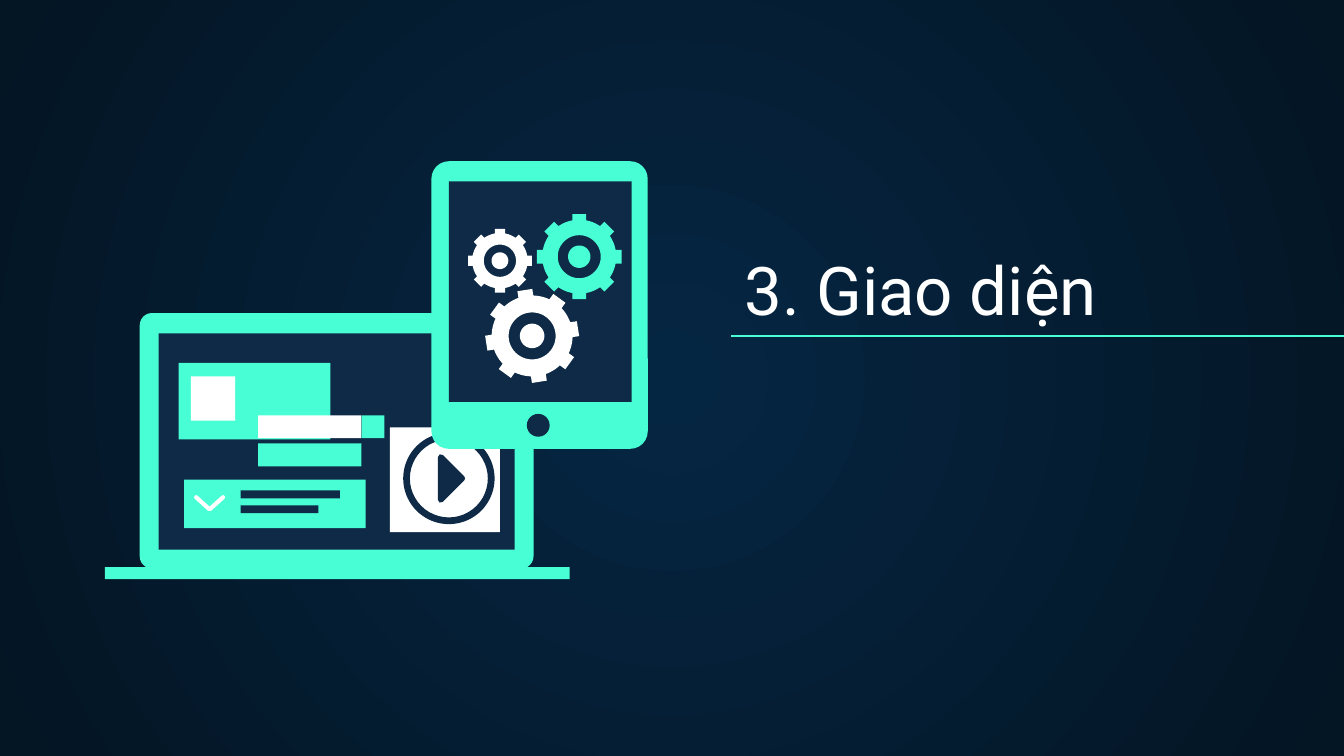
"""Section slide: a laptop and a tablet with gears beside the section title."""
from math import asin, cos, pi, radians, sin

from lxml.etree import SubElement
from pptx import Presentation
from pptx.dml.color import RGBColor
from pptx.enum.shapes import MSO_CONNECTOR, MSO_SHAPE
from pptx.enum.text import MSO_ANCHOR
from pptx.oxml.ns import qn
from pptx.util import Inches, Pt

MINT = RGBColor(0x48, 0xFF, 0xD5)
NAVY = RGBColor(0x0E, 0x2A, 0x47)
WHITE = RGBColor(0xFF, 0xFF, 0xFF)
GLOW = RGBColor(0x05, 0x26, 0x43)
EDGE = RGBColor(0x04, 0x15, 0x23)

RECT, ROUND = MSO_SHAPE.RECTANGLE, MSO_SHAPE.ROUNDED_RECTANGLE
OVAL, DONUT = MSO_SHAPE.OVAL, MSO_SHAPE.DONUT

TITLE = "3. Giao diện"
TITLE_BOX = (5.44, 1.89, 3.86, 0.66)
RULE = (5.44, 2.5, 10.3, 2.5)

LAPTOP = [
    (ROUND, MINT, (1.04, 2.33, 2.93, 1.9), 0.09),
    (RECT, NAVY, (1.18, 2.48, 2.65, 1.61), None),
    (RECT, MINT, (0.78, 4.22, 3.46, 0.09), None),
    (RECT, MINT, (1.33, 2.7, 1.13, 0.57), None),
    (RECT, WHITE, (1.42, 2.8, 0.33, 0.33), None),
    (RECT, MINT, (1.37, 3.57, 1.35, 0.36), None),
    (RECT, NAVY, (1.79, 3.65, 0.74, 0.06), None),
    (RECT, NAVY, (1.79, 3.76, 0.58, 0.06), None),
    (RECT, MINT, (1.92, 3.3, 0.77, 0.17), None),
    (RECT, WHITE, (1.92, 3.09, 0.77, 0.17), None),
    (RECT, MINT, (2.69, 3.09, 0.17, 0.17), None),
    (RECT, WHITE, (2.9, 3.18, 0.82, 0.78), None),
    (DONUT, NAVY, (3, 3.22, 0.68, 0.68), 0.05),
]
CHEVRON = [(1.46, 3.7), (1.56, 3.79), (1.66, 3.7)]
PLAY = [(3.28, 3.4), (3.44, 3.56), (3.28, 3.72)]
TABLET = [
    (ROUND, MINT, (3.21, 1.2, 1.61, 2.14), 0.13),
    (RECT, NAVY, (3.34, 1.35, 1.36, 1.64), None),
    (OVAL, NAVY, (3.92, 3.08, 0.17, 0.17), None),
]
GEARS = [
    (MINT, (4.31, 1.91), 0.32, 0),
    (WHITE, (3.72, 1.94), 0.24, 0),
    (WHITE, (3.96, 2.5), 0.35, -9),
]
TEETH = 8
BODY, HALF_TOOTH, HOLE, HUB = 0.86, 0.16, 0.5, 0.26


def add_parts(slide, parts):
    for preset, colour, box, thickness in parts:
        part = slide.shapes.add_shape(preset, *map(Inches, box))
        if thickness:
            part.adjustments[0] = thickness / min(box[2:])
        part.shadow.inherit = False
        part.fill.solid()
        part.fill.fore_color.rgb = colour
        part.line.fill.background()


def add_outline(slide, contours, closed=True):
    points = [[(Inches(x), Inches(y)) for x, y in contour] for contour in contours]
    builder = slide.shapes.build_freeform(*points[0][0])
    for index, contour in enumerate(points):
        if index:
            builder.move_to(*contour[0])
        builder.add_line_segments(contour[1:], close=closed)
    outline = builder.convert_to_shape()
    outline.shadow.inherit = False
    return outline


def add_rounded_line(shape, colour, width):
    shape.line.color.rgb = colour
    shape.line.width = Pt(width)
    line = shape.line._get_or_add_ln()
    line.set("cap", "rnd")
    SubElement(line, qn("a:round"))


def arc(radius, start, end, steps):
    angles = [start + (end - start) * step / steps for step in range(steps + 1)]
    return [(radius * cos(angle), radius * sin(angle)) for angle in angles]


def gear_contours(centre, radius, turn):
    pitch = 2 * pi / TEETH
    tip, root = asin(HALF_TOOTH), asin(HALF_TOOTH / BODY)
    rim = []
    for tooth in range(TEETH):
        angle = tooth * pitch + radians(turn)
        rim += arc(1, angle - tip, angle + tip, 1)
        rim += arc(BODY, angle + root, angle + pitch - root, 6)
    contours = [rim, arc(HOLE, 0, 2 * pi, 48), arc(HUB, 0, 2 * pi, 48)]
    return [[(centre[0] + radius * x, centre[1] + radius * y) for x, y in contour]
            for contour in contours]


def paint_background(slide):
    fill = slide.background.fill
    fill.gradient()
    for stop, colour in zip(fill.gradient_stops, (GLOW, EDGE)):
        stop.color.rgb = colour
    gradient = slide.background._cSld.find(".//" + qn("a:gradFill"))
    gradient.remove(gradient.find(qn("a:lin")))
    circle = SubElement(gradient, qn("a:path"), path="circle")
    SubElement(circle, qn("a:fillToRect"), l="50000", t="50000", r="50000", b="50000")


def add_title(slide):
    rule = slide.shapes.add_connector(MSO_CONNECTOR.STRAIGHT, *map(Inches, RULE))
    rule.line.color.rgb = MINT
    rule.line.width = Pt(0.75)
    SubElement(rule._element.spPr, qn("a:effectLst"))
    frame = slide.shapes.add_textbox(*map(Inches, TITLE_BOX)).text_frame
    frame.word_wrap = True
    frame.vertical_anchor = MSO_ANCHOR.BOTTOM
    frame.margin_left = frame.margin_right = Inches(0.1)
    frame.margin_top = frame.margin_bottom = Inches(0.1)
    run = frame.paragraphs[0].add_run()
    run.text = TITLE
    run.font.name = "Roboto"
    run.font.size = Pt(36)
    run.font.color.rgb = WHITE


def main():
    deck = Presentation()
    deck.slide_width = Inches(10)
    deck.slide_height = deck.slide_width * 9 // 16
    slide = deck.slides.add_slide(deck.slide_layouts[6])
    paint_background(slide)
    add_title(slide)
    add_parts(slide, LAPTOP)
    chevron = add_outline(slide, [CHEVRON], closed=False)
    chevron.fill.background()
    add_rounded_line(chevron, WHITE, 2.25)
    play = add_outline(slide, [PLAY])
    play.fill.solid()
    play.fill.fore_color.rgb = NAVY
    add_rounded_line(play, NAVY, 3)
    add_parts(slide, TABLET)
    for colour, centre, radius, turn in GEARS:
        gear = add_outline(slide, gear_contours(centre, radius, turn))
        gear.fill.solid()
        gear.fill.fore_color.rgb = colour
        gear.line.fill.background()
    deck.save("out.pptx")


if __name__ == "__main__":
    main()
